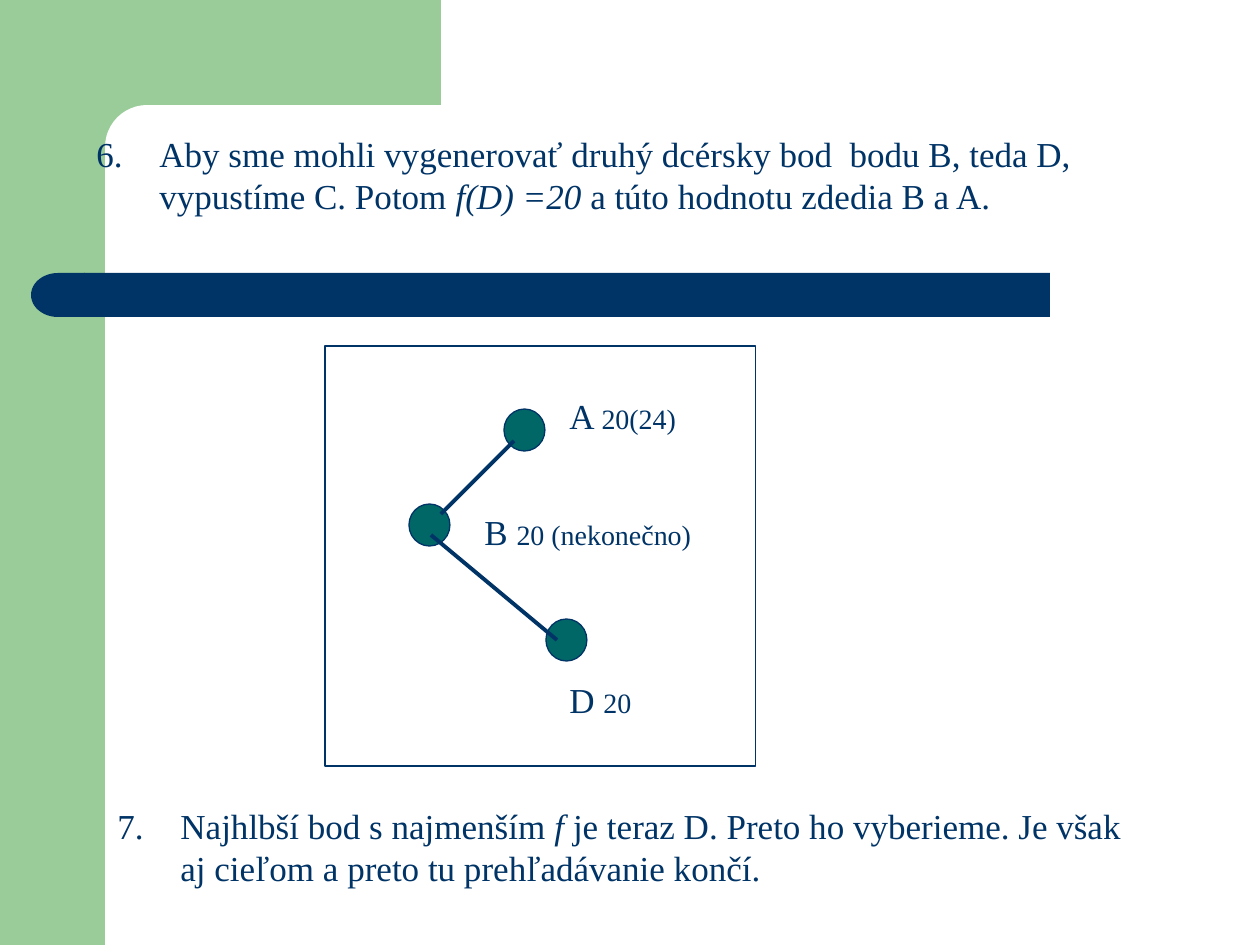
"""Build the slide showing the final search steps of the A, B, D tree."""
from lxml import etree
from pptx import Presentation
from pptx.dml.color import RGBColor
from pptx.enum.shapes import MSO_CONNECTOR, MSO_SHAPE
from pptx.enum.text import MSO_AUTO_SIZE
from pptx.oxml.ns import qn
from pptx.util import Emu, Pt

PX = 914400 // 126
WIDTH, HEIGHT = 1260, 945
NAVY, GREEN, TEAL, WHITE = "003366", "99CC99", "006666", "FFFFFF"
FONT = "Times New Roman"
HANGING = 63
RECTANGLE, ROUNDED = MSO_SHAPE.RECTANGLE, MSO_SHAPE.ROUNDED_RECTANGLE
DELAY, OVAL = MSO_SHAPE.FLOWCHART_DELAY, MSO_SHAPE.OVAL
STRAIGHT, GROW = MSO_CONNECTOR.STRAIGHT, MSO_AUTO_SIZE.SHAPE_TO_FIT_TEXT

SIDE_BAND = (0, 0, 105, 945)
TOP_BAND = (94, 0, 347, 147)
PANEL = (105, 105, 703, 84)
BAR = (84, 273, 966, 44)
BAR_END = (31, 273, 54, 44)
FRAME = (325, 346, 431, 420)
NODE_SIZE = (41, 42)
NODES = [(504, 409), (409, 504), (546, 619)]
EDGES = [((514, 441), (441, 514)), ((431, 535), (557, 640))]
LABELS = [
    ((557, 388, 147, 55), "A ", "20(24)"),
    ((472, 504, 273, 55), "B ", "20 (nekonečno)"),
    ((557, 672, 147, 55), "D ", "20"),
]
STEP_SIX = [
    ("Aby sme mohli vygenerovať druhý dcérsky bod  bodu B, teda D, "
     "vypustíme C. Potom ", False),
    ("f(D) =20 ", True),
    ("a túto hodnotu zdedia B a A.", False),
]
STEP_SEVEN = [
    ("7.\tNajhlbší bod s najmenším ", False),
    ("f ", True),
    ("je teraz D. Preto ho vyberieme. Je však aj cieľom a preto tu "
     "prehľadávanie končí.", False),
]


def px(value):
    return Emu(value * PX)


def color(code):
    return RGBColor.from_string(code)


def add_shape(slide, kind, box, fill=None, line=None):
    shape = slide.shapes.add_shape(kind, *map(px, box))
    shape.shadow.inherit = False
    if fill:
        shape.fill.solid()
        shape.fill.fore_color.rgb = color(fill)
    else:
        shape.fill.background()
    if line:
        shape.line.color.rgb = color(line)
        shape.line.width = Pt(0.75)
    else:
        shape.line.fill.background()
    return shape


def add_edge(slide, start, end):
    edge = slide.shapes.add_connector(STRAIGHT, *map(px, start + end))
    edge.line.color.rgb = color(NAVY)
    edge.line.width = Pt(2.25)
    etree.SubElement(edge._element.spPr, qn("a:effectLst"))


def add_paragraph(slide, box, space_before):
    frame = slide.shapes.add_textbox(*map(px, box)).text_frame
    frame.word_wrap = True
    frame.auto_size = GROW
    paragraph = frame.paragraphs[0]
    paragraph.space_before = Pt(space_before)
    paragraph.font.name = FONT
    paragraph.font.color.rgb = color(NAVY)
    return paragraph


def add_run(paragraph, text, size, italic=False):
    run = paragraph.add_run()
    run.text = text
    run.font.name = FONT
    run.font.size = Pt(size)
    run.font.italic = italic
    run.font.color.rgb = color(NAVY)


def add_step(slide, box, runs, number=None):
    paragraph = add_paragraph(slide, box, 12.5)
    paragraph.font.size = Pt(20)
    properties = paragraph._p.get_or_add_pPr()
    properties.set("marL", str(px(HANGING)))
    properties.set("indent", str(-px(HANGING)))
    if number:
        bullet = etree.Element(qn("a:buAutoNum"), type="arabicPeriod", startAt=str(number))
        properties.find(qn("a:defRPr")).addprevious(bullet)
    for text, italic in runs:
        add_run(paragraph, text, 20, italic)


def main():
    presentation = Presentation()
    presentation.slide_width, presentation.slide_height = px(WIDTH), px(HEIGHT)
    slide = presentation.slides.add_slide(presentation.slide_layouts[6])

    for band in (SIDE_BAND, TOP_BAND):
        add_shape(slide, RECTANGLE, band, GREEN)
    panel = add_shape(slide, ROUNDED, PANEL, WHITE)
    panel.adjustments[0] = 0.5
    add_shape(slide, RECTANGLE, BAR, NAVY)
    bar_end = add_shape(slide, DELAY, BAR_END, NAVY)
    bar_end._element.spPr.find(qn("a:xfrm")).set("flipH", "1")

    add_step(slide, (84, 126, 1040, 97), STEP_SIX, 6)
    for node in NODES:
        add_shape(slide, OVAL, node + NODE_SIZE, TEAL, NAVY)
    add_shape(slide, RECTANGLE, FRAME, line=NAVY)
    for start, end in EDGES:
        add_edge(slide, start, end)
    for box, name, value in LABELS:
        paragraph = add_paragraph(slide, box, 10)
        add_run(paragraph, name, 20)
        add_run(paragraph, value, 16)
    add_step(slide, (105, 798, 1040, 97), STEP_SEVEN)

    presentation.save("out.pptx")


if __name__ == "__main__":
    main()
